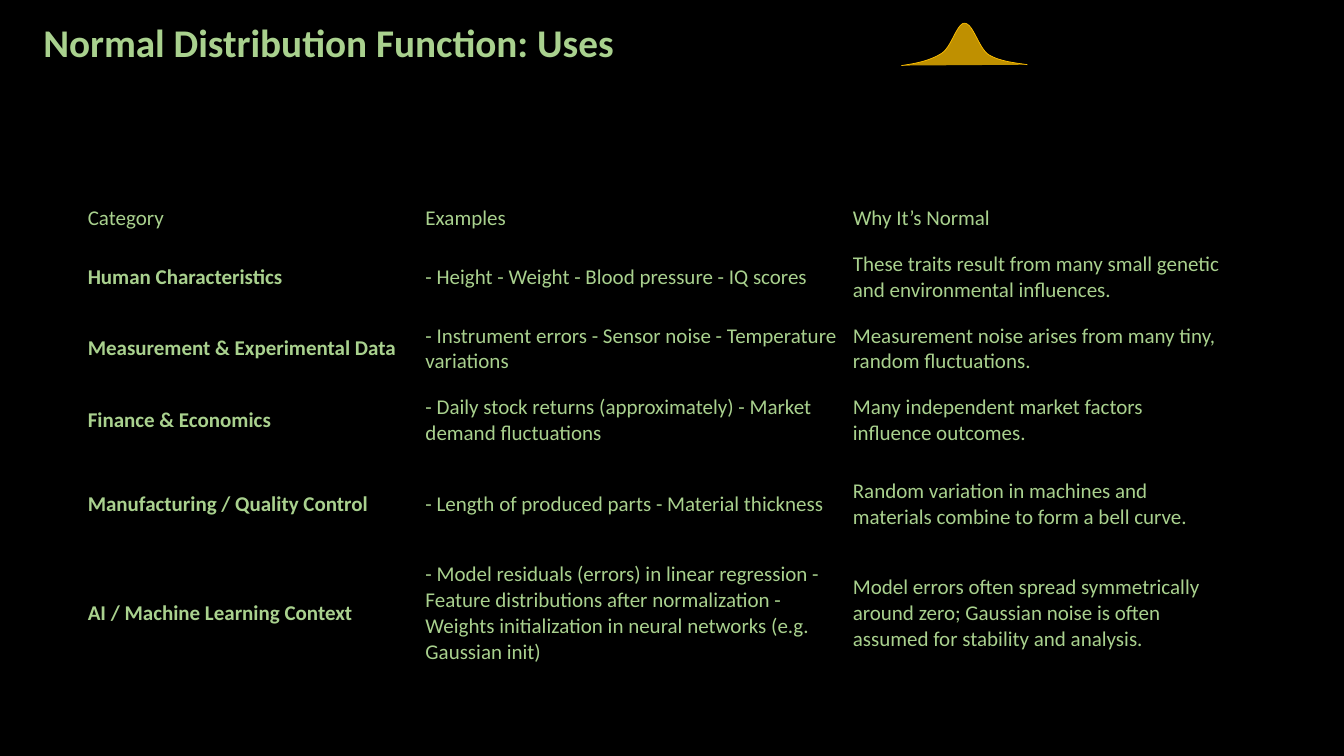
"""Build the slide on uses of the normal distribution, with a table and a bell curve."""
import lxml.etree
import pptx
import pptx.dml.color
import pptx.enum.text
import pptx.oxml.ns
import pptx.util

COLORS = {"background": "000000", "text": "A9D18E", "bell": "BF9000", "outline": "FFC000"}
COLUMN_SHARES = [25.13, 31.8, 28.5]
ROW_SHARES = [4.4, 11.07, 7.73, 11.07, 11.07, 17.87]
ROWS = [
    ("Category", "Examples", "Why It’s Normal"),
    ("Human Characteristics", "- Height - Weight - Blood pressure - IQ scores",
     "These traits result from many small genetic and environmental influences."),
    ("Measurement & Experimental Data",
     "- Instrument errors - Sensor noise - Temperature variations",
     "Measurement noise arises from many tiny, random fluctuations."),
    ("Finance & Economics",
     "- Daily stock returns (approximately) - Market demand fluctuations",
     "Many independent market factors influence outcomes."),
    ("Manufacturing / Quality Control", "- Length of produced parts - Material thickness",
     "Random variation in machines and materials combine to form a bell curve."),
    ("AI / Machine Learning Context",
     "- Model residuals (errors) in linear regression - Feature distributions after "
     "normalization - Weights initialization in neural networks (e.g. Gaussian init)",
     "Model errors often spread symmetrically around zero; Gaussian noise is often "
     "assumed for stability and analysis."),
]
BELL_POINTS = [
    (0, 1), (0.12, 0.95), (0.23, 0.88), (0.32, 0.71), (0.4, 0.55), (0.44, 0), (0.5, 0),
    (0.57, 0), (0.61, 0.57), (0.69, 0.74), (0.78, 0.9), (0.89, 0.93), (1, 0.98),
]
CURVE_STEPS = 16

deck = pptx.Presentation()
deck.slide_width = pptx.util.Inches(13.33)
deck.slide_height = pptx.util.Inches(7.5)
page = deck.slides.add_slide(deck.slide_layouts[6])
page.background.fill.solid()
page.background.fill.fore_color.rgb = pptx.dml.color.RGBColor.from_string(COLORS["background"])


def share(across, down):
    """Turn percentages of the slide's width and height into lengths."""
    return int(deck.slide_width * across / 100), int(deck.slide_height * down / 100)


def write(para, text, size, bold):
    """Add one run of slide text to a paragraph."""
    span = para.add_run()
    span.text = text
    span.font.name = "Calibri"
    span.font.size = pptx.util.Pt(size)
    span.font.bold = bold
    span.font.color.rgb = pptx.dml.color.RGBColor.from_string(COLORS["text"])


table = page.shapes.add_table(
    len(ROWS), len(COLUMN_SHARES), *share(5.93, 26.67),
    *share(sum(COLUMN_SHARES), sum(ROW_SHARES))).table
table.first_row = False
table.horz_banding = False
for column, width in zip(table.columns, COLUMN_SHARES):
    column.width = share(width, 0)[0]
for row, height in zip(table.rows, ROW_SHARES):
    row.height = share(0, height)[1]

for row_number, texts in enumerate(ROWS):
    for column_number, text in enumerate(texts):
        cell = table.cell(row_number, column_number)
        cell.margin_left = cell.margin_right = pptx.util.Inches(0.08)
        cell.margin_top = cell.margin_bottom = pptx.util.Inches(0.04)
        cell.vertical_anchor = pptx.enum.text.MSO_ANCHOR.MIDDLE
        properties = cell._tc.get_or_add_tcPr()
        for side in ("lnL", "lnR", "lnT", "lnB"):
            border = lxml.etree.SubElement(properties, pptx.oxml.ns.qn(f"a:{side}"))
            lxml.etree.SubElement(border, pptx.oxml.ns.qn("a:noFill"))
        cell.fill.background()
        write(cell.text_frame.paragraphs[0], text, 15, row_number > 0 and column_number == 0)

title = page.shapes.add_textbox(*share(2.48, 1.47), *share(90.7, 8.8)).text_frame
title.word_wrap = True
title.vertical_anchor = pptx.enum.text.MSO_ANCHOR.MIDDLE
title.paragraphs[0].line_spacing = 0.9
write(title.paragraphs[0], "Normal Distribution Function: Uses", 28, True)

bell_points = [share(67.07 + 9.38 * x, 3.07 + 5.6 * y) for x, y in BELL_POINTS]
outline = []
for first in range(0, len(bell_points) - 1, 3):
    controls = bell_points[first:first + 4]
    for step in range(1, CURVE_STEPS + 1):
        t = step / CURVE_STEPS
        weights = ((1 - t) ** 3, 3 * t * (1 - t) ** 2, 3 * t ** 2 * (1 - t), t ** 3)
        outline.append([sum(weight * point[axis] for weight, point in zip(weights, controls))
                        for axis in (0, 1)])
builder = page.shapes.build_freeform(*bell_points[0])
builder.add_line_segments(outline, close=False)
bell = builder.convert_to_shape()
bell.shadow.inherit = False
bell.fill.solid()
bell.fill.fore_color.rgb = pptx.dml.color.RGBColor.from_string(COLORS["bell"])
bell.line.color.rgb = pptx.dml.color.RGBColor.from_string(COLORS["outline"])
bell.line.width = pptx.util.Pt(0.5)

deck.save("out.pptx")
